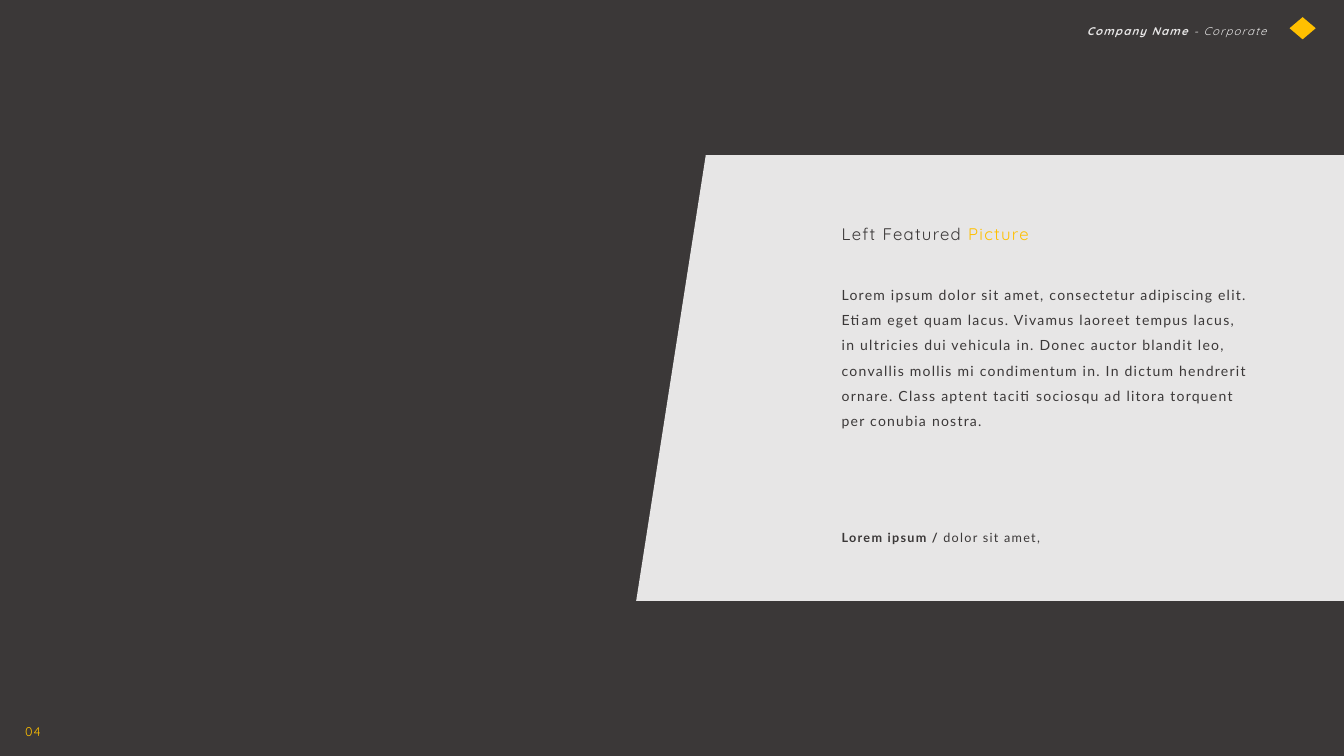
from pptx import Presentation
from pptx.dml.color import RGBColor
from pptx.enum.shapes import MSO_SHAPE as Shape
from pptx.enum.text import MSO_AUTO_SIZE as Fit, PP_ALIGN as Align
from pptx.util import Inches, Pt

DARK = RGBColor(0x3B, 0x38, 0x38)
LIGHT = RGBColor(0xE7, 0xE6, 0xE6)
GOLD = RGBColor(0xFF, 0xC0, 0x00)
WIDE, HIGH = 13.33, 7.5
LEFT = 8.25  # column shared by the panel's texts

deck = Presentation()
deck.slide_width, deck.slide_height = Inches(WIDE), Inches(HIGH)
slide = deck.slides.add_slide(deck.slide_layouts[6])
slide.background.fill.solid()
slide.background.fill.fore_color.rgb = DARK


def paint(shape, color):
    shape.shadow.inherit = False
    shape.fill.solid()
    shape.fill.fore_color.rgb = color
    shape.line.fill.background()


def write(area, runs, size, face, wrap=True):
    """Add a spaced-out line of text; each run is (words, color, bold)."""
    box = slide.shapes.add_textbox(*map(Inches, area))
    frame = box.text_frame
    frame.word_wrap = wrap
    frame.auto_size = Fit.SHAPE_TO_FIT_TEXT
    para = frame.paragraphs[0]
    para.line_spacing = 1.5
    para.font.name, para.font.size = face, Pt(size)
    for words, color, bold in runs:
        run = para.add_run()
        run.text = words
        run.font.color.rgb = color
        run.font.bold = bold
        run.font._element.set("spc", "90")
    return para


# Slanted panel, running off to the right edge
top, base = 1.54, 5.96
pen = slide.shapes.build_freeform(Inches(7), Inches(top), scale=1.0)
pen.add_line_segments(
    [(Inches(x), Inches(y)) for x, y in ((WIDE, top), (WIDE, base), (6.31, base))])
paint(pen.convert_to_shape(), LIGHT)

# Header: plain mark and company line
mark = slide.shapes.add_shape(
    Shape.DIAMOND, Inches(12.79), Inches(0.17), Inches(0.26), Inches(0.22))
paint(mark, GOLD)
head = write((10.64, 0.13, 2.02, 0.28),
             [("Company Name ", LIGHT, True), ("- Corporate", LIGHT, False)],
             8, "Quicksand")
head.alignment = Align.RIGHT
head.font.italic = True

# Page number
write((0.15, 7.06, 0.53, 0.3), [("04", GOLD, False)], 9, "Quicksand")

# Panel: title, body and footer
write((LEFT, 2.07, 2.49, 0.37),
      [("Left Featured ", DARK, False), ("Picture", GOLD, False)],
      12, "Quicksand", wrap=False)
body = (
    "Lorem ipsum dolor sit amet, consectetur adipiscing elit. Etiam eget quam "
    "lacus. Vivamus laoreet tempus lacus, in ultricies dui vehicula in. Donec "
    "auctor blandit leo, convallis mollis mi condimentum in. In dictum hendrerit "
    "ornare. Class aptent taciti sociosqu ad litora torquent per conubia nostra.")
write((LEFT, 2.71, 4.23, 1.33), [(body, DARK, False)], 10, "Lato")
write((LEFT, 5.13, 2.68, 0.3),
      [("Lorem ipsum / ", DARK, True), ("dolor sit amet,", DARK, False)],
      9, "Lato")

deck.save("out.pptx")
